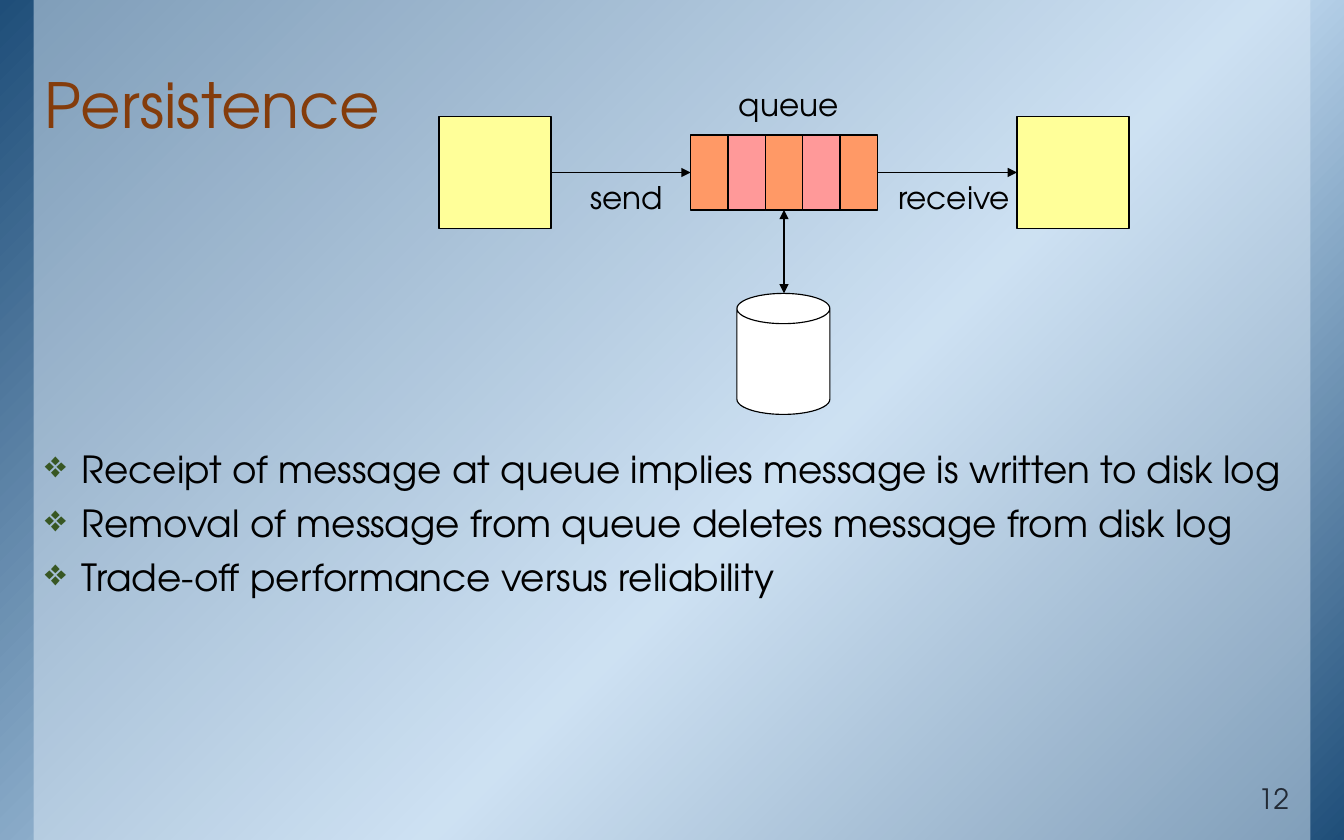
from dataclasses import dataclass

from lxml import etree
from pptx import Presentation
from pptx import util as u
from pptx.dml.color import RGBColor
from pptx.enum import shapes, text
from pptx.oxml import parse_xml
from pptx.oxml.ns import nsdecls, qn


@dataclass(frozen=True)
class Theme:
    """Fonts, type sizes in points and colours."""
    font: str = "TeX Gyre Adventor"
    title_size: int = 40
    body_size: int = 24
    label_size: int = 20
    number_size: int = 18
    title: str = "843C0B"
    ink: str = "000000"
    number: str = "222A35"
    bullet: str = "385723"
    edge: str = "1F4E79"
    glow: str = "BDD7EE"
    panel: str = "DEEBF7"
    peer: str = "FFFF99"
    slots: tuple = ("FF9966", "FF9999")
    disk: str = "FFFFFF"


class Deck:
    """Holds the theme and the current slide and draws its elements."""

    def __init__(self, prs, theme):
        self.theme = theme
        self.slide = prs.slides.add_slide(prs.slide_layouts[5])

    def set_text(self, sp, lines, size, color, para=None, **frame):
        """Fill a text frame and apply frame and paragraph formats."""
        tf = sp.text_frame
        formats = {"word_wrap": True, "auto_size": text.MSO_AUTO_SIZE.NONE,
                   "margin_left": u.Inches(0.13), "margin_right": u.Inches(0.13),
                   "margin_top": u.Inches(0.07), "margin_bottom": u.Inches(0.07)}
        for name, value in {**formats, **frame}.items():
            setattr(tf, name, value)
        for i, line in enumerate(lines):
            p = tf.add_paragraph() if i else tf.paragraphs[0]
            for name, value in (para or {}).items():
                setattr(p, name, value)
            r = p.add_run()
            r.text = line
            for name, value in {"name": self.theme.font, "size": u.Pt(size)}.items():
                setattr(r.font, name, value)
            r.font.color.rgb = RGBColor.from_string(color)
        return tf

    def box(self, x, y, w, h):
        """Add an empty text box."""
        return self.slide.shapes.add_textbox(*map(u.Inches, (x, y, w, h)))

    def title(self, line, x, y, w, h):
        """Place the title in front of the backdrop."""
        sp = self.slide.shapes.title
        place = {"left": x, "top": y, "width": w, "height": h}
        for name, value in place.items():
            setattr(sp, name, u.Inches(value))
        self.set_text(sp, [line], self.theme.title_size, self.theme.title,
                      {"alignment": text.PP_ALIGN.LEFT, "line_spacing": 0.85},
                      vertical_anchor=text.MSO_ANCHOR.BOTTOM)
        sp._element.getparent().append(sp._element)

    def bullets(self, lines, x, y, w, h):
        """Add justified paragraphs with diamond bullets."""
        tf = self.set_text(self.box(x, y, w, h), lines, self.theme.body_size, self.theme.ink,
                           {"alignment": text.PP_ALIGN.JUSTIFY, "space_after": u.Pt(6)})
        indent = u.Inches(0.33)
        for p in tf.paragraphs:
            pr = p._p.get_or_add_pPr()
            pr.set("marL", str(indent))
            pr.set("indent", str(-indent))
            color = etree.SubElement(pr, qn("a:buClr"))
            etree.SubElement(color, qn("a:srgbClr"), val=self.theme.bullet)
            etree.SubElement(pr, qn("a:buChar"), char="❖")

    def label(self, line, x, y, w, h=0.44):
        """Add a one-line diagram label."""
        margins = {"margin_left": u.Inches(0.1), "margin_right": u.Inches(0.1),
                   "margin_top": u.Inches(0.05), "margin_bottom": u.Inches(0.05)}
        self.set_text(self.box(x, y, w, h), [line], self.theme.label_size, self.theme.ink,
                      word_wrap=False, **margins)

    def number(self, line, x, y, w, h):
        """Add the slide number."""
        self.set_text(self.box(x, y, w, h), [line], self.theme.number_size, self.theme.number,
                      {"alignment": text.PP_ALIGN.RIGHT},
                      vertical_anchor=text.MSO_ANCHOR.BOTTOM)

    def shape(self, x, y, w, h, fill, line=1, kind=shapes.MSO_SHAPE.RECTANGLE):
        """Add a filled preset shape, outlined when line is not zero."""
        sp = self.slide.shapes.add_shape(kind, *map(u.Inches, (x, y, w, h)))
        sp.shadow.inherit = False
        sp.fill.solid()
        sp.fill.fore_color.rgb = RGBColor.from_string(fill)
        if line:
            sp.line.width = u.Pt(line)
            sp.line.color.rgb = RGBColor.from_string(self.theme.ink)
        else:
            sp.line.fill.background()
        return sp

    def backdrop(self, w, h, margin):
        """Add the diagonal gradient and the translucent panel."""
        sp = self.shape(0, 0, w, h, self.theme.edge, line=0)
        stops = ((0, self.theme.edge), (58, self.theme.glow), (100, self.theme.edge))
        gs = "".join(f'<a:gs pos="{pos * 1000}"><a:srgbClr val="{color}"/></a:gs>'
                     for pos, color in stops)
        solid = sp._element.spPr.find(qn("a:solidFill"))
        solid.getparent().replace(solid, parse_xml(
            f'<a:gradFill {nsdecls("a")} rotWithShape="1"><a:gsLst>{gs}</a:gsLst>'
            '<a:lin ang="2700000" scaled="0"/></a:gradFill>'))
        panel = self.shape(margin, 0, w - 2 * margin, h, self.theme.panel, line=0)
        color = panel._element.spPr.find(qn("a:solidFill"))[0]
        etree.SubElement(color, qn("a:alpha"), val="50000")

    def arrow(self, x1, y1, x2, y2, width=1, ends=("tailEnd",)):
        """Add a straight connector with triangle heads."""
        sp = self.slide.shapes.add_connector(
            shapes.MSO_CONNECTOR.STRAIGHT, *map(u.Inches, (x1, y1, x2, y2)))
        sp.line.width = u.Pt(width)
        sp.line.color.rgb = RGBColor.from_string(self.theme.ink)
        ln = sp._element.spPr.find(qn("a:ln"))
        for end in ends:
            etree.SubElement(ln, qn(f"a:{end}"), type="triangle")
        etree.SubElement(sp._element.spPr, qn("a:effectLst"))


def main():
    """Build the persistence slide."""
    prs = Presentation()
    prs.slide_width, prs.slide_height = u.Inches(12), u.Inches(7.5)
    theme = Theme()
    s = Deck(prs, theme)
    s.backdrop(12, 7.5, 0.3)
    s.title("Persistence", 0.27, 0.08, 11.36, 1.25)
    s.bullets(["Receipt of message at queue implies message is written to disk log",
               "Removal of message from queue deletes message from disk log",
               "Trade-off performance versus reliability"], 0.27, 3.91, 11.36, 2.92)
    s.number("12", 10.55, 7, 1.09, 0.35)

    mid, axis, slot, count, peer = 7, 1.54, 1 / 3, 5, 1
    left, right = mid - count * slot / 2, mid + count * slot / 2
    sender, receiver = 3.92, 9.08
    for line, x, y, w in (("receive", 7.92, axis, 1.23), ("send", 5.17, axis, 0.86),
                          ("queue", 6.5, 0.71, 1.1)):
        s.label(line, x, y, w)
    for i in range(count):
        s.shape(left + i * slot, axis - slot, slot, 2 * slot, theme.slots[i % 2])
    for x in (sender, receiver):
        s.shape(x, axis - peer / 2, peer, peer, theme.peer)
    s.arrow(sender + peer, axis, left, axis)
    s.arrow(right, axis, receiver, axis)
    disk = s.shape(mid - 0.42, 2.62, 0.83, 1.08, theme.disk, 0.75, shapes.MSO_SHAPE.CAN)
    disk.adjustments[0] = 0.325
    s.arrow(mid, axis + slot, mid, 2.62, 0.75, ("headEnd", "tailEnd"))
    prs.save("out.pptx")


if __name__ == "__main__":
    main()
